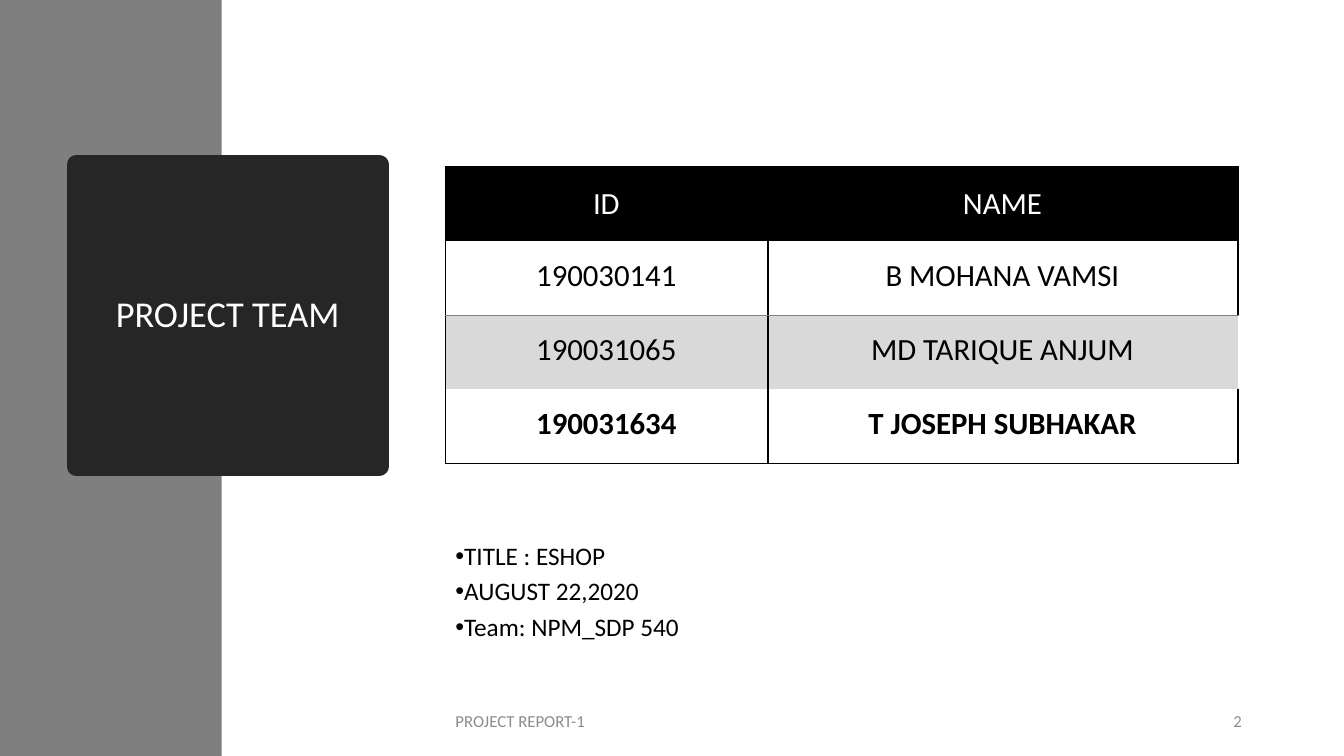
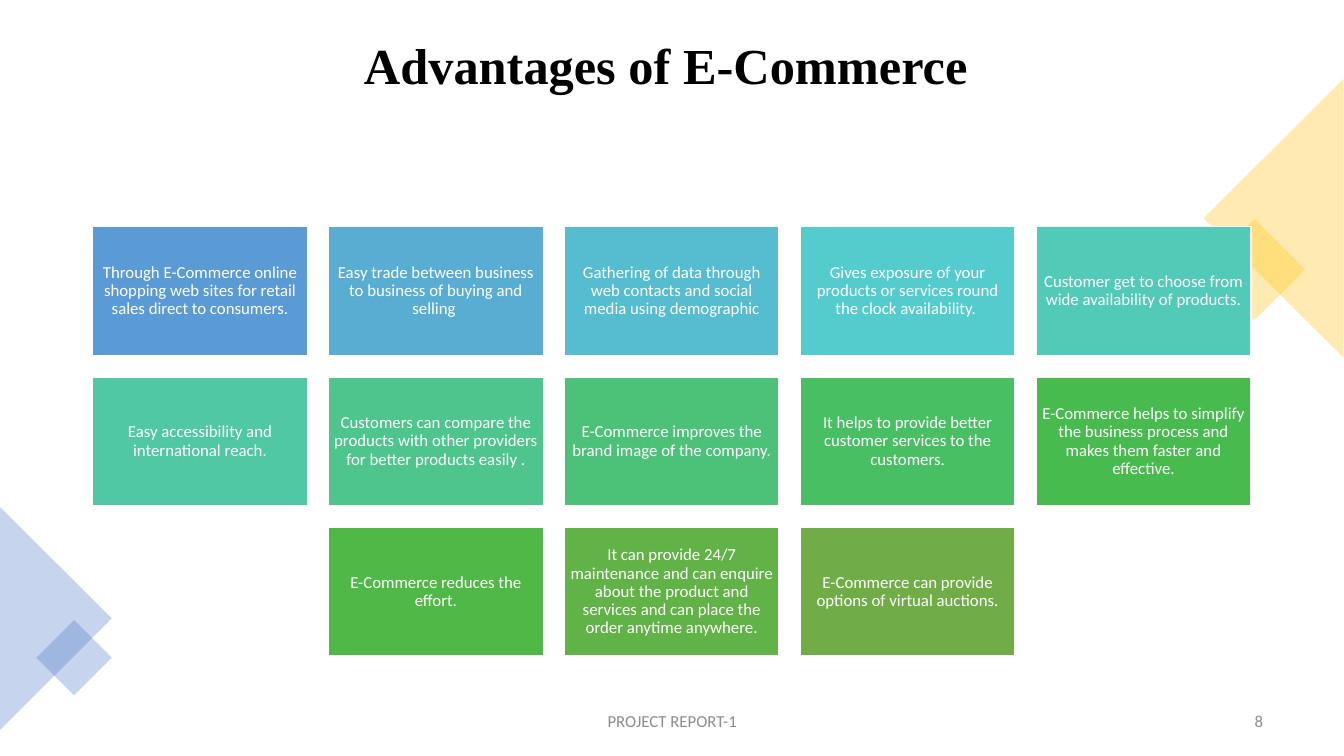
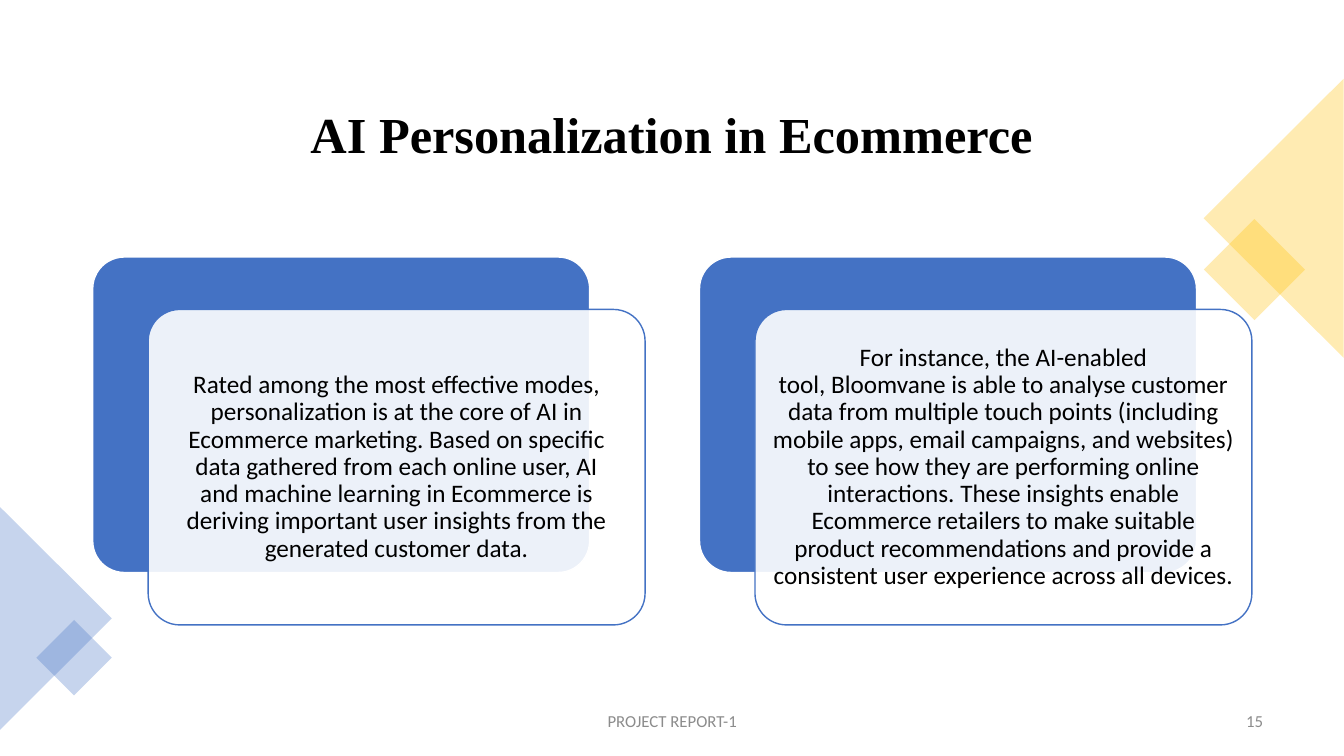
"""Build three slides of an e-commerce project report."""
from collections import namedtuple

from lxml import etree
from pptx import Presentation
from pptx.dml.color import RGBColor
from pptx.enum import shapes, text
from pptx.oxml import ns
from pptx.util import Inches, Pt

Box = namedtuple("Box", "left top width height")

BLACK = RGBColor(0x00, 0x00, 0x00)
WHITE = RGBColor(0xFF, 0xFF, 0xFF)
CHARCOAL = RGBColor(0x26, 0x26, 0x26)
BAND_GRAY = RGBColor(0x7F, 0x7F, 0x7F)
RULE_GRAY = RGBColor(0x80, 0x80, 0x80)
ROW_GRAY = RGBColor(0xD9, 0xD9, 0xD9)
FOOTER_GRAY = RGBColor(0x8C, 0x8C, 0x8C)
BLUE = RGBColor(0x44, 0x72, 0xC4)
GOLD = RGBColor(0xFF, 0xC0, 0x00)

BODY_FONT = "Calibri"
TITLE_FONT = "Times New Roman"
BULLET_FONT = "Arial"
HARD_SPACE = chr(160)
SLIDE = Box(0, 0, 40 / 3, 7.5)
FOOTER_TOP, FOOTER_HEIGHT = 6.95, 0.4
LEFT, CENTER, RIGHT = text.PP_ALIGN.LEFT, text.PP_ALIGN.CENTER, text.PP_ALIGN.RIGHT
TOP, MIDDLE = text.MSO_ANCHOR.TOP, text.MSO_ANCHOR.MIDDLE
RECTANGLE = shapes.MSO_SHAPE.RECTANGLE
ROUNDED = shapes.MSO_SHAPE.ROUNDED_RECTANGLE
TRIANGLE = shapes.MSO_SHAPE.ISOSCELES_TRIANGLE

TEAM = [
    ("ID", "NAME"),
    ("190030141", "B MOHANA VAMSI"),
    ("190031065", "MD TARIQUE ANJUM"),
    ("190031634", "T JOSEPH SUBHAKAR"),
]
FACTS = ["TITLE : ESHOP", "AUGUST 22,2020", "Team: NPM_SDP 540"]
ADVANTAGES = [
    (RGBColor(0x5B, 0x9B, 0xD5), "Through E-Commerce online shopping web sites for retail sales direct to consumers."),
    (RGBColor(0x59, 0xAC, 0xD2), "Easy trade between business to business of buying and selling "),
    (RGBColor(0x56, 0xBC, 0xD0), "Gathering of data through web contacts and social media using demographic"),
    (RGBColor(0x54, 0xCC, 0xCD), "Gives exposure of your products or services round the clock availability. "),
    (RGBColor(0x52, 0xCA, 0xB8), "Customer get to choose from wide availability of products."),
    (RGBColor(0x4F, 0xC8, 0xA3), "Easy accessibility and international reach."),
    (RGBColor(0x4D, 0xC5, 0x8D), "Customers can compare the products with other providers for better products easily ."),
    (RGBColor(0x4B, 0xC2, 0x78), "E-Commerce improves the brand image of the company."),
    (RGBColor(0x49, 0xBF, 0x64), "It helps to provide better customer services to the customers."),
    (RGBColor(0x48, 0xBB, 0x4F), "E-Commerce helps to simplify the business process and makes them faster and effective."),
    (RGBColor(0x50, 0xB8, 0x46), "E-Commerce reduces the effort."),
    (RGBColor(0x61, 0xB2, 0x47), "It can provide 24/7 maintenance and can enquire about the product and services "
                                 "and can place the order anytime anywhere."),
    (RGBColor(0x70, 0xAD, 0x47), "E-Commerce can provide options of virtual auctions."),
]
PERSONALIZATION = [
    f"Rated among the most effective modes, personalization is at the core of{HARD_SPACE}AI in Ecommerce marketing. "
    f"Based on specific data gathered from each online user, AI and{HARD_SPACE}machine learning in "
    f"Ecommerce{HARD_SPACE}is deriving important user insights from the generated customer data.",
    f"For instance, the AI-enabled tool,{HARD_SPACE}Bloomvane{HARD_SPACE}is able to analyse customer data from "
    "multiple touch points (including mobile apps, email campaigns, and websites) to see how they are performing "
    "online interactions. These insights enable Ecommerce retailers to make suitable product recommendations and "
    "provide a consistent user experience across all devices.",
]


def inches(box):
    """Turn a box into four lengths."""
    return [Inches(side) for side in box]


def write(frame, lines, size, color, align=LEFT, anchor=MIDDLE, font=BODY_FONT,
          bold=False, spacing=0.9, after=0, inset=None):
    """Write one paragraph per line and return the paragraphs."""
    frame.word_wrap = True
    frame.vertical_anchor = anchor
    if inset is not None:
        frame.margin_left = frame.margin_right = Inches(inset)
        frame.margin_top = frame.margin_bottom = Inches(inset)
    paras = []
    for index, line in enumerate(lines):
        para = frame.add_paragraph() if index else frame.paragraphs[0]
        para.alignment = align
        para.line_spacing = spacing
        para.space_after = Pt(after)
        span = para.add_run()
        span.text = line
        span.font.name = font
        span.font.size = Pt(size)
        span.font.bold = bold
        span.font.color.rgb = color
        paras.append(para)
    return paras


def add_text(page, box, lines, size, color, **style):
    """Place a text box and return its paragraphs."""
    frame = page.shapes.add_textbox(*inches(box)).text_frame
    return write(frame, lines, size, color, **style)


def add_block(page, kind, box, fill, line=None, width=1, opacity=100, turn=0):
    """Place a flat preset shape."""
    block = page.shapes.add_shape(kind, *inches(box))
    block.shadow.inherit = False
    block.rotation = turn
    block.fill.solid()
    block.fill.fore_color.rgb = fill
    if opacity < 100:
        color = block.fill._xPr.find(".//" + ns.qn("a:srgbClr"))
        etree.SubElement(color, ns.qn("a:alpha"), val=str(opacity * 1000))
    if line is None:
        block.line.fill.background()
    else:
        block.line.color.rgb = line
        block.line.width = Pt(width)
    return block


def add_footer(page, number, label_box, number_box, align):
    """Write the report label and the page number."""
    for box, words, side in ((label_box, "PROJECT REPORT-1", align), (number_box, number, RIGHT)):
        add_text(page, box, [words], 12, FOOTER_GRAY, align=side, spacing=1, after=6)


def add_corners(page):
    """Place the translucent corner ornaments."""
    for kind, box, color, turn in (
        (RECTANGLE, Box(12.09, 2.32, 0.71, 0.71), GOLD, 45),
        (TRIANGLE, Box(11.25, 1.47, 2.77, 1.39), GOLD, 270),
        (TRIANGLE, Box(-0.55, 5.58, 2.21, 1.11), BLUE, 90),
        (RECTANGLE, Box(0.47, 6.26, 0.53, 0.53), BLUE, 45),
    ):
        add_block(page, kind, box, color, opacity=30, turn=turn)


def add_page(deck):
    """Add a blank page."""
    return deck.slides.add_slide(deck.slide_layouts[6])


def add_topic_page(deck, title, title_box, number):
    """Add a page with a serif title, corner ornaments and a footer."""
    page = add_page(deck)
    add_text(page, title_box, [title], 36, BLACK, align=CENTER, font=TITLE_FONT, bold=True)
    add_corners(page)
    add_footer(page, number, Box(4.42, FOOTER_TOP, 4.5, FOOTER_HEIGHT),
               Box(9.63, FOOTER_TOP, 3, FOOTER_HEIGHT), CENTER)
    return page


def set_borders(cell, **edges):
    """Draw the given cell edges and hide the others."""
    properties = cell._tc.get_or_add_tcPr()
    for side in "LRTB":
        color, width = edges.get(side) or (None, 0)
        line = etree.SubElement(properties, ns.qn("a:ln" + side), w=str(Pt(width)))
        if color is None:
            etree.SubElement(line, ns.qn("a:noFill"))
        else:
            fill = etree.SubElement(line, ns.qn("a:solidFill"))
            etree.SubElement(fill, ns.qn("a:srgbClr"), val=str(color))


def add_team_table(page, box):
    """Place the table of team members."""
    table = page.shapes.add_table(len(TEAM), 2, *inches(box)).table
    table.first_row = table.horz_banding = False
    first_width = 3.2
    table.columns[0].width = Inches(first_width)
    table.columns[1].width = Inches(box.width - first_width)
    fills = [BLACK, WHITE, ROW_GRAY, WHITE]
    strong, thin = (BLACK, 1.5), (RULE_GRAY, 0.5)
    rules = [strong, None, thin, None, strong]
    for row, names in enumerate(TEAM):
        header, last = row == 0, row == len(TEAM) - 1
        for column, words in enumerate(names):
            cell = table.cell(row, column)
            open_side = column == 1 and fills[row] == ROW_GRAY
            set_borders(cell, L=strong, R=None if open_side else strong,
                        T=rules[row], B=rules[row + 1])
            cell.fill.solid()
            cell.fill.fore_color.rgb = fills[row]
            write(cell.text_frame, [words], 22, WHITE if header else BLACK,
                  align=CENTER, bold=last, spacing=1)
            cell.vertical_anchor = MIDDLE if header else TOP
            cell.margin_left, cell.margin_right = Inches(0.2), Inches(0.21)
            cell.margin_top = cell.margin_bottom = Inches(0.16)


def add_facts(page, box):
    """Write the bulleted project facts."""
    for para in add_text(page, box, FACTS, 18, BLACK, anchor=TOP, after=6):
        properties = para._p.get_or_add_pPr()
        properties.set("marL", "0")
        properties.set("indent", str(-Inches(0.25)))
        etree.SubElement(properties, ns.qn("a:buFont"), typeface=BULLET_FONT)
        etree.SubElement(properties, ns.qn("a:buChar"), char="•")


def add_tiles(page, box, columns=5, gap=0.21):
    """Place the advantages in centred rows of tiles."""
    rows = -(-len(ADVANTAGES) // columns)
    width = (box.width - gap * (columns - 1)) / columns
    height = (box.height - gap * (rows - 1)) / rows
    for index, (color, words) in enumerate(ADVANTAGES):
        row, column = divmod(index, columns)
        in_row = min(columns, len(ADVANTAGES) - row * columns)
        column += (columns - in_row) / 2
        tile = add_block(page, RECTANGLE, Box(box.left + column * (width + gap),
                                              box.top + row * (height + gap), width, height),
                         color, line=WHITE)
        write(tile.text_frame, [words], 12, WHITE, align=CENTER, inset=0.05)


def add_card(page, box, words):
    """Place a text panel over a blue backing panel."""
    shift_right, shift_down = 0.55, 0.52
    width, height = box.width - shift_right, box.height - shift_down
    back = add_block(page, ROUNDED, Box(box.left, box.top, width, height), BLUE, line=WHITE)
    front = add_block(page, ROUNDED, Box(box.left + shift_right, box.top + shift_down, width, height),
                      WHITE, line=BLUE, opacity=90)
    back.adjustments[0] = front.adjustments[0] = 0.1
    write(front.text_frame, [words], 18, BLACK, align=CENTER, inset=0.07)


def build_team_page(deck):
    """Build the project team page."""
    page = add_page(deck)
    left, width = 4.42, 7.86
    add_block(page, RECTANGLE, Box(0, 0, 2.2, SLIDE.height), BAND_GRAY)
    plate = add_block(page, RECTANGLE, Box(0.76, 1.63, 3, 3), CHARCOAL, line=CHARCOAL, width=13.75)
    write(plate.text_frame, ["PROJECT TEAM"], 26, WHITE, align=CENTER)
    add_facts(page, Box(left, 5.34, width, 1.41))
    add_footer(page, "2", Box(left, FOOTER_TOP, 5.3, FOOTER_HEIGHT),
               Box(10.81, FOOTER_TOP, 1.61, FOOTER_HEIGHT), LEFT)
    add_team_table(page, Box(left, 1.66, width, 2.94))


def build_advantages_page(deck):
    """Build the page of advantages."""
    page = add_topic_page(deck, "Advantages of E-Commerce", Box(0.64, 0.32, 11.93, 0.72), "8")
    add_tiles(page, Box(0.92, 2.25, 11.49, 4.26))


def build_personalization_page(deck):
    """Build the page of two personalization cards."""
    page = add_topic_page(deck, "AI Personalization in Ecommerce", Box(0.7, 0.31, 11.93, 2.1), "15")
    for index, words in enumerate(PERSONALIZATION):
        add_card(page, Box(0.92 + index * 6.02, 2.55, 5.48, 3.65), words)


def main():
    """Build and save the deck."""
    deck = Presentation()
    deck.slide_width, deck.slide_height = Inches(SLIDE.width), Inches(SLIDE.height)
    build_team_page(deck)
    build_advantages_page(deck)
    build_personalization_page(deck)
    deck.save("out.pptx")


if __name__ == "__main__":
    main()
